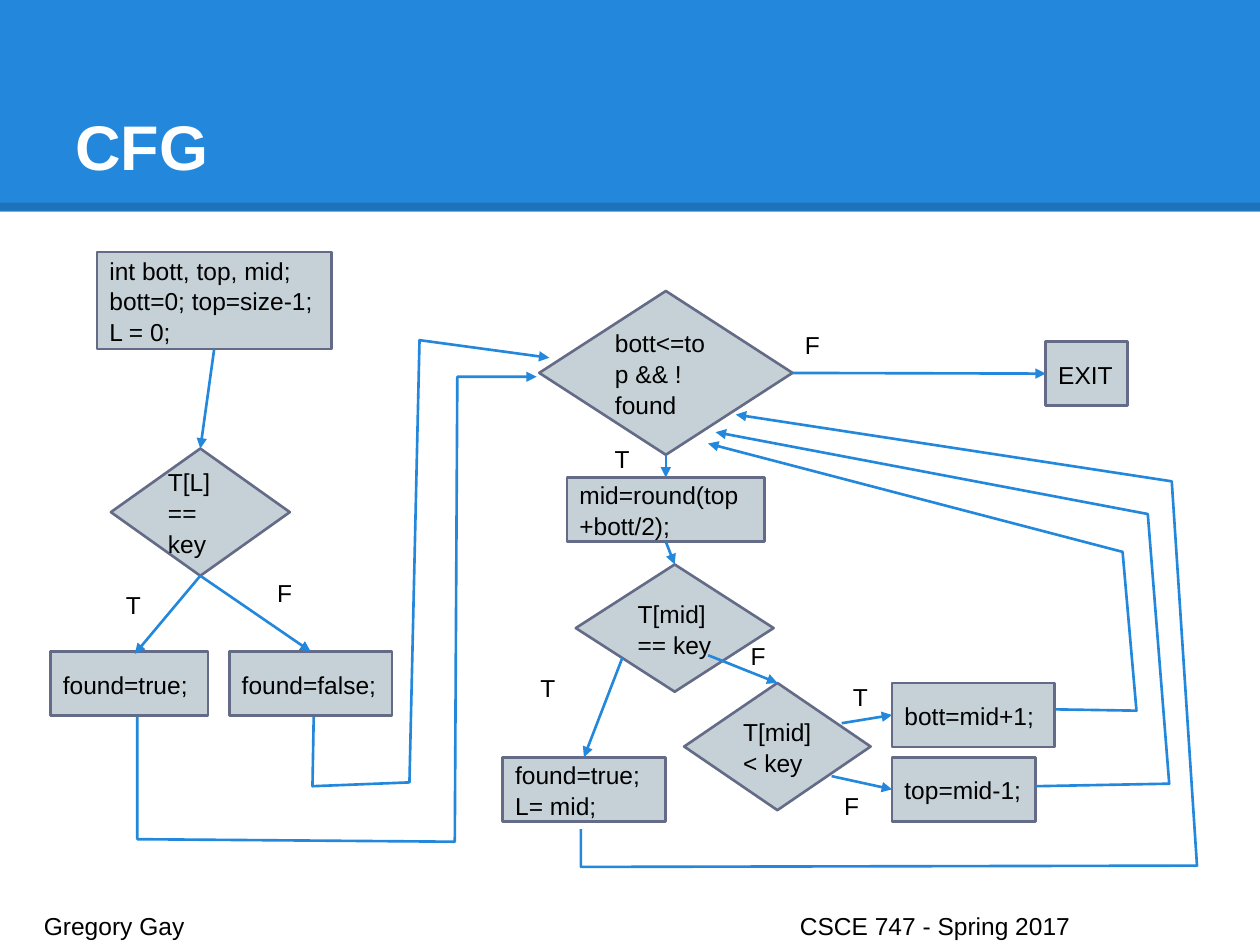
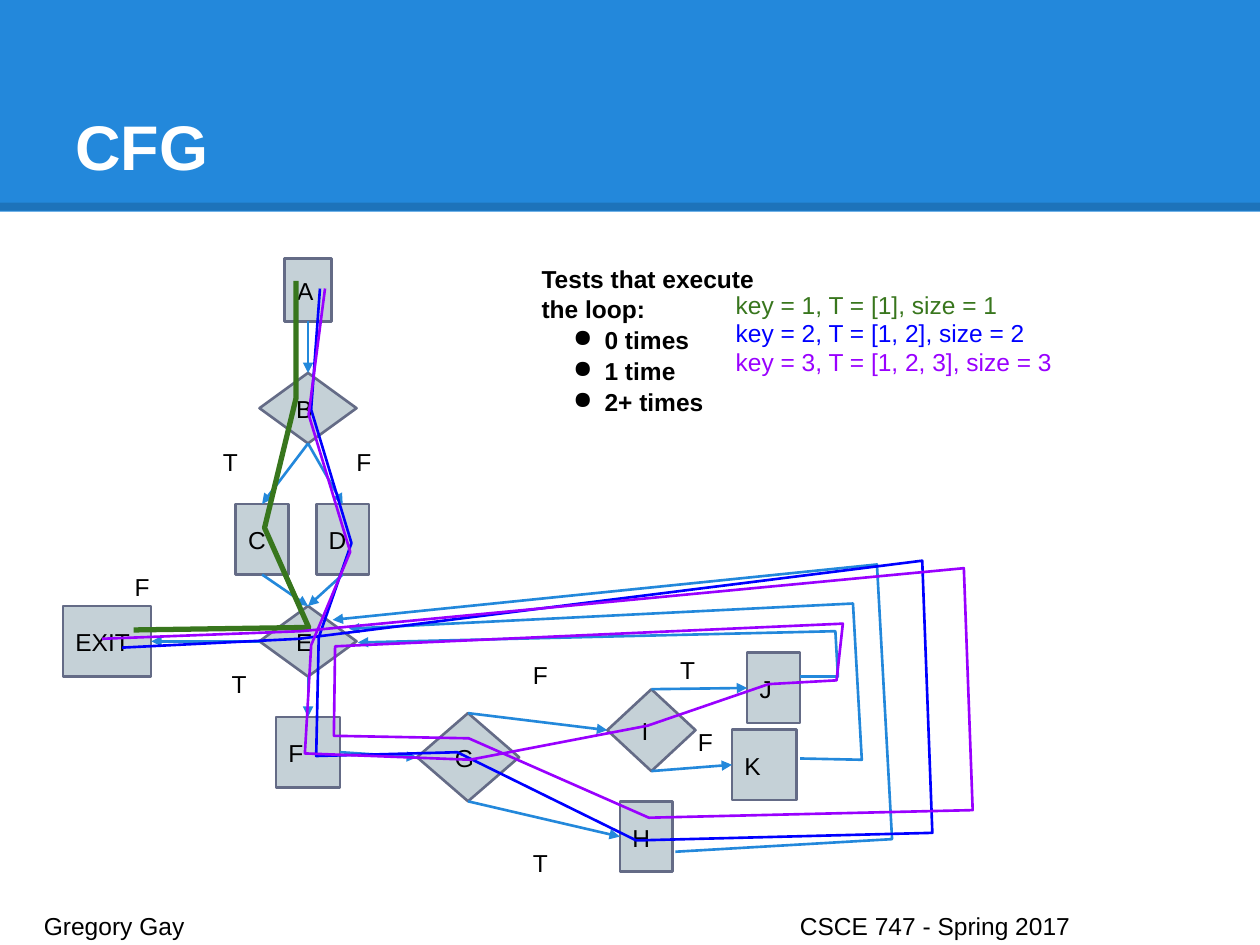
from dataclasses import dataclass
from enum import IntEnum
from typing import NamedTuple, Optional, Union

from lxml.etree import SubElement
from pptx import Presentation
from pptx.dml.color import RGBColor as Rgb
from pptx.enum.shapes import MSO_CONNECTOR as Connector, MSO_SHAPE as Preset
from pptx.enum.text import MSO_ANCHOR as Anchor, PP_ALIGN as Align
from pptx.oxml.ns import qn
from pptx.util import Inches, Pt


@dataclass(frozen=True)
class Theme:
    """Colours, type sizes and line widths of the deck."""
    font: str = "Arial"
    blue: str = "2388DB"
    node_fill: str = "C5D1D7"
    node_line: str = "646B86"
    ink: str = "000000"
    paper: str = "FFFFFF"
    green_path: str = "38761D"
    blue_path: str = "0000FF"
    violet_path: str = "9900FF"
    title_size: float = 36
    body_size: float = 14
    spacing: float = 1.05
    thin: float = 1.5
    thick: float = 3
    rule: float = 4.5


THEME = Theme()
COLUMNS, ROWS = 100, 75
WIDTH, HEIGHT = Inches(10), Inches(7.5)
INSET = Inches(0.1)


class Side(IntEnum):
    """Connection sites of a rectangle or diamond."""
    TOP = 0
    LEFT = 1
    BOTTOM = 2
    RIGHT = 3


class Point(NamedTuple):
    """A place on the grid."""
    col: float
    row: float


class Port(NamedTuple):
    """A side of a named node."""
    node: str
    side: Side


class Area(NamedTuple):
    """A rectangle on the grid."""
    col: float
    row: float
    cols: float
    rows: float


class Node(NamedTuple):
    """A statement or a decision of the flow graph."""
    name: str
    lines: list[str]
    area: Area
    decision: bool = False


class Label(NamedTuple):
    """The outcome written beside a branch."""
    text: str
    col: float
    row: float


class Link(NamedTuple):
    """A straight arrow between two ends."""
    start: Union[Port, Point]
    end: Union[Port, Point]


@dataclass(frozen=True)
class Graph:
    """One control flow graph."""
    nodes: list[Node]
    labels: list[Label]
    links: list[Link]
    routes: list[list[tuple]]


@dataclass(frozen=True)
class Trace:
    """A test input and the path it takes."""
    loops: str
    inputs: str
    color: str
    width: float
    points: list[tuple]


def place(col: float, row: float) -> tuple[int, int]:
    """Turn grid units into slide lengths."""
    return round(col * WIDTH / COLUMNS), round(row * HEIGHT / ROWS)


def frame_of(shape, anchor=Anchor.TOP):
    """Prepare the text frame of a shape."""
    frame = shape.text_frame
    frame.word_wrap = True
    frame.vertical_anchor = anchor
    frame.margin_left = frame.margin_right = INSET
    frame.margin_top = frame.margin_bottom = INSET
    return frame


def add_para(frame, text: str, color: str = THEME.ink, size: float = THEME.body_size,
             bold: bool = False):
    """Write the next paragraph of a frame as one run."""
    first = frame.paragraphs[0]
    para = frame.add_paragraph() if first.runs else first
    para.alignment = Align.LEFT
    para.line_spacing = THEME.spacing
    span = para.add_run()
    span.text = text
    span.font.name, span.font.size, span.font.bold = THEME.font, Pt(size), bold
    span.font.color.rgb = Rgb.from_string(color)
    return para


def add_box(page, area: Area, anchor=Anchor.TOP):
    """Add a text box and return its frame."""
    box = page.shapes.add_textbox(*place(*area[:2]), *place(*area[2:]))
    return frame_of(box, anchor)


def add_block(page, preset, area: Area, fill: str):
    """Add a filled shape without a line or shadow."""
    block = page.shapes.add_shape(preset, *place(*area[:2]), *place(*area[2:]))
    block.shadow.inherit = False
    block.fill.solid()
    block.fill.fore_color.rgb = Rgb.from_string(fill)
    block.line.fill.background()
    return block


def stroke(shape, color: str, width: float, arrow: bool = False) -> None:
    """Colour a line and give it an arrowhead if asked."""
    shape.line.color.rgb = Rgb.from_string(color)
    shape.line.width = Pt(width)
    if arrow:
        SubElement(shape.element.spPr.find(qn("a:ln")), qn("a:tailEnd"), type="triangle")


def add_line(page, start: tuple, end: tuple):
    """Add a straight connector without a shadow."""
    line = page.shapes.add_connector(Connector.STRAIGHT, *place(*start), *place(*end))
    SubElement(line.element.spPr, qn("a:effectLst"))
    return line


def add_path(page, points: list[tuple], color: str, width: float, arrow: bool) -> None:
    """Draw an open line through grid points."""
    first, *rest = [place(*point) for point in points]
    builder = page.shapes.build_freeform(*first)
    builder.add_line_segments(rest, close=False)
    path = builder.convert_to_shape()
    path.shadow.inherit = False
    path.fill.background()
    stroke(path, color, width, arrow)


def add_node(page, node: Node):
    """Draw a node with its code."""
    preset = Preset.DIAMOND if node.decision else Preset.RECTANGLE
    block = add_block(page, preset, node.area, THEME.node_fill)
    stroke(block, THEME.node_line, THEME.thin)
    frame = frame_of(block, Anchor.MIDDLE)
    for text in node.lines:
        add_para(frame, text)
    return block


def add_link(page, link: Link, blocks: dict) -> None:
    """Draw an arrow and glue its ends to the nodes."""
    loose = [end if isinstance(end, Point) else Point(0, 0) for end in link]
    line = add_line(page, *loose)
    for end, connect in zip(link, (line.begin_connect, line.end_connect)):
        if isinstance(end, Port):
            connect(blocks[end.node], end.side)
    stroke(line, THEME.blue, THEME.thin, arrow=True)


def add_graph(page, graph: Graph) -> None:
    """Draw nodes, labels and arrows."""
    blocks = {node.name: add_node(page, node) for node in graph.nodes}
    for label in graph.labels:
        add_para(add_box(page, Area(label.col, label.row, 3.5, 4.6)), label.text)
    for link in graph.links:
        add_link(page, link, blocks)
    for route in graph.routes:
        add_path(page, route, THEME.blue, THEME.thin, arrow=True)


def add_traces(page, traces: list[Trace]) -> None:
    """List the tests and draw the path of each."""
    frame = add_box(page, Area(42, 19.8, 20, 11.1))
    add_para(frame, "Tests that execute the loop:", bold=True)
    for index, trace in enumerate(traces):
        para = add_para(frame, trace.loops, bold=True)
        props = para._p.get_or_add_pPr()
        props.set("marL", str(Inches(0.5)))
        props.set("indent", str(Inches(-0.25)))
        SubElement(props, qn("a:buChar"), char="●")
        inputs = add_box(page, Area(57.4, 21.9 + 2.25 * index, 30, 2.3))
        add_para(inputs, trace.inputs, trace.color)
        add_path(page, trace.points, trace.color, trace.width, arrow=False)


def add_page(deck, title: Optional[str] = "CFG"):
    """Add a page with band, title and footer."""
    page = deck.slides.add_slide(deck.slide_layouts[6])
    add_block(page, Preset.RECTANGLE, Area(0, 0, COLUMNS, 16.8), THEME.blue)
    rule = add_line(page, (0, 16.4), (COLUMNS, 16.4))
    stroke(rule, THEME.ink, THEME.rule)
    SubElement(next(rule.element.iter(qn("a:srgbClr"))), qn("a:alpha"), val="15000")
    add_para(add_box(page, Area(5, 3, 90, 12.5), Anchor.BOTTOM), title, THEME.paper,
             THEME.title_size, bold=True)
    footer = add_para(add_box(page, Area(2.5, 71.2, 95, 3)),
                      "Gregory Gay\tCSCE 747 - Spring 2017")
    tabs = SubElement(footer._p.get_or_add_pPr(), qn("a:tabLst"))
    SubElement(tabs, qn("a:tab"), pos=str(Inches(6)), algn="l")
    return page


def joins(*pairs: str) -> list[Link]:
    """Read links such as 'a.BOTTOM b.TOP'."""
    ends = [[end.split(".") for end in pair.split()] for pair in pairs]
    return [Link(*(Port(name, Side[side]) for name, side in pair)) for pair in ends]


CODE = Graph(
    nodes=[
        Node("start", ["int bott, top, mid;", "bott=0; top=size-1;", "L = 0;"],
             Area(7.7, 20, 18.6, 7.7)),
        Node("first", ["T[L] == key"], Area(8.8, 35.6, 14.2, 10.1), True),
        Node("miss", ["found=false;"], Area(18.2, 51.7, 12.9, 5.1)),
        Node("hit", ["found=true;"], Area(4, 51.7, 12.5, 5.1)),
        Node("loop", ["bott<=top && !found"], Area(42.8, 23.1, 20.1, 13), True),
        Node("exit", ["EXIT"], Area(83, 27.1, 6.5, 5.1)),
        Node("mid", ["mid=round(top+bott/2);"], Area(45, 37.9, 15.7, 5.1)),
        Node("equal", ["T[mid] == key"], Area(45.7, 44.8, 15.7, 10.1), True),
        Node("store", ["found=true;", "L= mid;"], Area(39.9, 60.1, 12.9, 5.1)),
        Node("less", ["T[mid] < key"], Area(54.3, 54.2, 14.8, 10.1), True),
        Node("raise", ["bott=mid+1;"], Area(70.8, 54.2, 12.9, 5.1)),
        Node("lower", ["top=mid-1;"], Area(70.8, 60.1, 11.4, 5.1)),
    ],
    labels=[Label("F", 21, 44.8), Label("T", 9, 45.7), Label("F", 62.9, 25.1),
            Label("T", 47.8, 34.1), Label("T", 41.9, 52.3), Label("F", 58.6, 49.8),
            Label("T", 66.7, 53), Label("F", 66, 61.7)],
    links=joins("start.BOTTOM first.TOP", "first.BOTTOM miss.TOP", "loop.RIGHT exit.LEFT",
                "loop.BOTTOM mid.TOP", "mid.BOTTOM equal.TOP") + [
        Link(Port("first", Side.BOTTOM), Point(10.7, 51.9)),
        Link(Point(49.4, 52.2), Port("store", Side.TOP)),
        Link(Point(56.2, 52), Port("less", Side.TOP)),
        Link(Point(66.8, 57.4), Port("raise", Side.LEFT)),
        Link(Point(66, 61.6), Port("lower", Side.LEFT))],
    routes=[
        [(10.9, 56.9), (10.9, 66.6), (36.1, 66.8), (36.3, 29.9), (42.6, 29.9)],
        [(46.1, 65.8), (46.1, 68.8), (95, 68.7), (93, 38.2), (58.4, 32.9)],
        [(24.9, 56.9), (24.8, 62.4), (32.5, 62.1), (33.3, 27), (43.6, 28.4)],
        [(82.2, 62.4), (92.8, 62.2), (91.1, 40.8), (56.8, 34.3)],
        [(83.8, 56.3), (90.2, 56.4), (89.1, 43.8), (56.2, 35.2)]])

LETTERS = Graph(
    nodes=[Node(name, [name], Area(*area), name in "BEGI") for name, area in {
        "A": (22.6, 20.5, 3.7, 5), "B": (20.6, 29.6, 7.7, 5.6),
        "C": (18.7, 40, 4.2, 5.6), "D": (25.1, 40, 4.2, 5.6),
        "E": (20.6, 48.1, 7.7, 5.6), "EXIT": (5, 48.1, 7, 5.6),
        "F": (21.9, 56.9, 5.1, 5.6), "G": (33.1, 56.6, 8.1, 7),
        "H": (49.2, 63.6, 4.2, 5.6), "I": (48.2, 54.7, 7, 6.5),
        "J": (59.3, 51.8, 4.2, 5.6), "K": (58.1, 57.9, 5.1, 5.6)}.items()],
    labels=[Label("F", 27.3, 34.4), Label("T", 16.7, 34.4), Label("F", 9.7, 44.3),
            Label("T", 17.4, 52), Label("T", 41.3, 66.2), Label("F", 41.3, 51.3),
            Label("T", 53, 50.9), Label("F", 54.4, 56.6)],
    links=joins("A.BOTTOM B.TOP", "B.BOTTOM C.TOP", "B.BOTTOM D.TOP", "C.BOTTOM E.TOP",
                "D.BOTTOM E.TOP", "E.LEFT EXIT.RIGHT", "E.BOTTOM F.TOP", "F.RIGHT G.LEFT",
                "G.BOTTOM H.LEFT", "G.TOP I.LEFT", "I.TOP J.LEFT", "I.BOTTOM K.LEFT"),
    routes=[[(63.5, 53.7), (66.5, 53.7), (66.3, 50.1), (28.4, 51)],
            [(63.5, 60.2), (68.4, 60.3), (67.7, 47.9), (27.7, 49.9)],
            [(53.6, 67.6), (70.8, 66.6), (69.6, 44.8), (26.4, 49.2)]])

TRACES = [
    Trace("0 times", "key = 1, T = [1], size = 1", THEME.green_path, THEME.thick,
          [(23.5, 22.3), (23.5, 31.6), (21, 41.9), (24.5, 49.8), (10.6, 50)]),
    Trace("1 time", "key = 2, T = [1, 2], size = 2", THEME.blue_path, THEME.thin,
          [(25.4, 22.9), (24.7, 32.5), (27.9, 43.1), (25.3, 50.6), (25.1, 60), (36.3, 59.7),
           (50.5, 66.7), (74, 66.1), (73.2, 44.5), (23.7, 50.7), (9.7, 51.4)]),
    Trace("2+ times", "key = 3, T = [1, 2, 3], size = 3", THEME.violet_path, THEME.thin,
          [(25.8, 22.9), (24.5, 32.9), (27.8, 43.8), (24.7, 51.2), (24.2, 59.8), (37.3, 60.3),
           (51.4, 57.6), (61, 54.3), (66.4, 54), (66.9, 49.5), (26.6, 51.3), (26.5, 58.4),
           (37.2, 58.6), (51.5, 64.9), (77.2, 64.3), (76.5, 45.1), (23.9, 50.1), (8.1, 50.7)]),
]


def main() -> None:
    """Build and save the deck."""
    deck = Presentation()
    deck.slide_width, deck.slide_height = WIDTH, HEIGHT
    add_graph(add_page(deck), CODE)
    page = add_page(deck)
    add_graph(page, LETTERS)
    add_traces(page, TRACES)
    deck.save("out.pptx")


if __name__ == "__main__":
    main()
